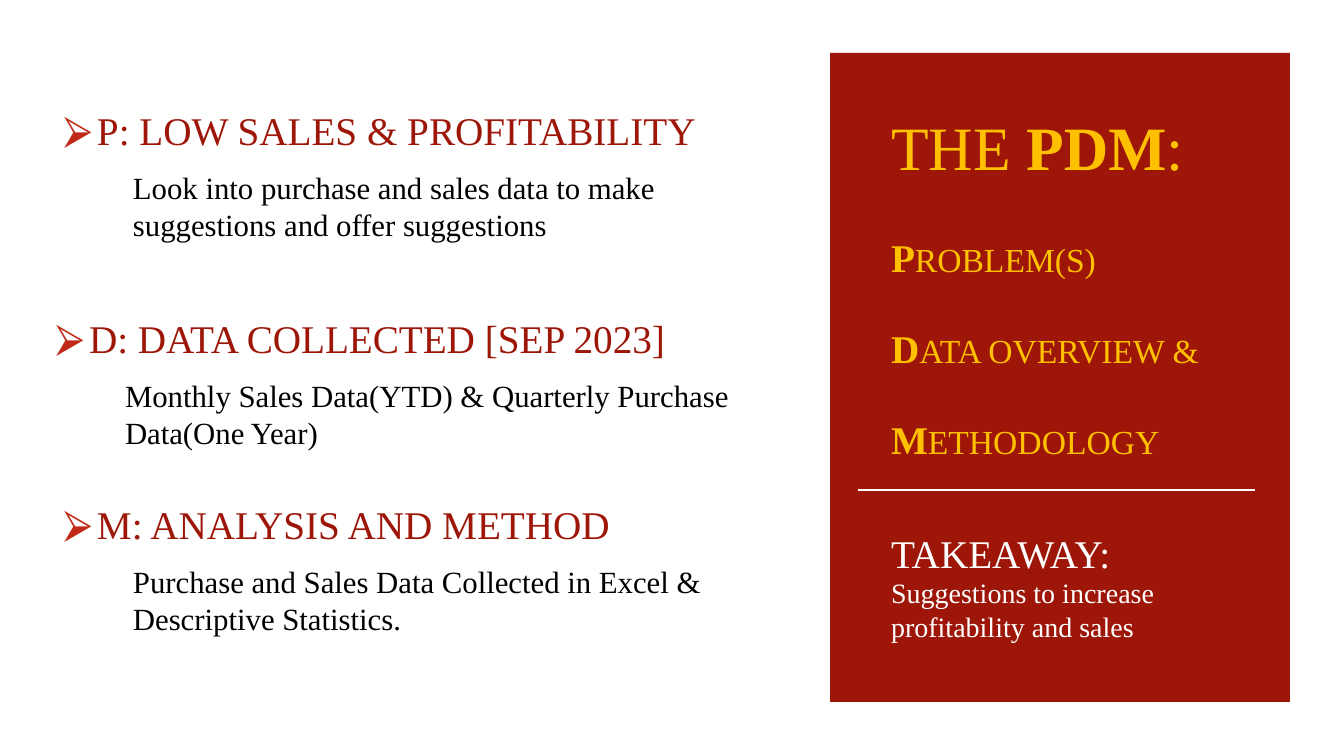
import pptx
import pptx.dml.color
import pptx.enum.shapes
import pptx.enum.text
import pptx.oxml.xmlchemy
import pptx.util

RED = pptx.dml.color.RGBColor(0x9D, 0x16, 0x08)
BULLET_RED = pptx.dml.color.RGBColor(0xC1, 0x2A, 0x17)
GOLD = pptx.dml.color.RGBColor(0xFF, 0xC0, 0x00)
WHITE = pptx.dml.color.RGBColor(0xFF, 0xFF, 0xFF)
BLACK = pptx.dml.color.RGBColor(0x00, 0x00, 0x00)
FONT = "Times New Roman"
SCALE = 9144000 / 1008


def px(n):
    return pptx.util.Emu(round(n * SCALE))


def element(tag, **attributes):
    el = pptx.oxml.xmlchemy.OxmlElement(tag)
    for name, value in attributes.items():
        el.set(name, value)
    return el


def add_run(p, text, size=22, color=BLACK, bold=False):
    r = p.add_run()
    r.text = text
    r.font.name = FONT
    r.font.size = pptx.util.Pt(size)
    r.font.color.rgb = color
    r.font.bold = bold


class Deck:
    def __init__(self, width, height):
        self.prs = pptx.Presentation()
        self.prs.slide_width = px(width)
        self.prs.slide_height = px(height)
        self.s = self.prs.slides.add_slide(self.prs.slide_layouts[4])

    def panel(self, x, y, w, h, color):
        sp = self.s.shapes.add_shape(
            pptx.enum.shapes.MSO_SHAPE.RECTANGLE, px(x), px(y), px(w), px(h))
        sp.shadow.inherit = False
        sp.fill.solid()
        sp.fill.fore_color.rgb = color
        sp.line.fill.background()
        sp.element.getparent().insert(2, sp.element)

    def rule(self, x1, x2, y, color):
        c = self.s.shapes.add_connector(
            pptx.enum.shapes.MSO_CONNECTOR.STRAIGHT, px(x1), px(y), px(x2), px(y))
        c.line.color.rgb = color
        c.line.width = pptx.util.Pt(1)
        c.element.spPr.append(element("a:effectLst"))

    def text_frame(self, idx, x, y, w, h):
        sp = self.s.placeholders[idx]
        sp.left, sp.top, sp.width, sp.height = px(x), px(y), px(w), px(h)
        tf = sp.text_frame
        tf.margin_left = tf.margin_top = tf.margin_right = tf.margin_bottom = 0
        tf.word_wrap = True
        tf.auto_size = pptx.enum.text.MSO_AUTO_SIZE.NONE
        tf.vertical_anchor = pptx.enum.text.MSO_ANCHOR.TOP
        return tf

    def paragraph(self, tf, first=False, before=0, left=0, hanging=0, bullet=None):
        p = tf.paragraphs[0] if first else tf.add_paragraph()
        p.alignment = pptx.enum.text.PP_ALIGN.LEFT
        p.space_before = pptx.util.Pt(before)
        pPr = p._p.get_or_add_pPr()
        pPr.set("marL", str(px(left)))
        pPr.set("indent", str(px(-hanging)))
        if bullet:
            clr = element("a:buClr")
            clr.append(element("a:srgbClr", val=str(BULLET_RED)))
            pPr.append(clr)
            pPr.append(element("a:buChar", char=bullet))
        else:
            pPr.append(element("a:buNone"))
        return p

    def topic(self, idx, x, y, heading, detail):
        tf = self.text_frame(idx, x, y, 717, 138)
        p = self.paragraph(tf, first=True, left=35, hanging=33, bullet="⮚")
        add_run(p, heading, size=28, color=RED)
        p = self.paragraph(tf, before=11.5, left=71)
        add_run(p, detail)


def main():
    deck = Deck(1344, 756)
    deck.panel(830, 53, 460, 649, RED)

    p = deck.paragraph(deck.text_frame(0, 891, 109, 380, 72), first=True)
    for text, bold in (("THE ", False), ("PDM", True), (":", False)):
        add_run(p, text, size=44, color=GOLD, bold=bold)

    tf = deck.text_frame(1, 891, 233, 340, 420)
    for i, word in enumerate(("PROBLEM(S)", "DATA OVERVIEW &", "METHODOLOGY")):
        p = deck.paragraph(tf, first=i == 0, before=31.5 if i else 0)
        add_run(p, word[0], size=28, color=GOLD, bold=True)
        add_run(p, word[1:], size=24, color=GOLD)
    p = deck.paragraph(tf, before=47.5)
    add_run(p, "TAKEAWAY:", size=28, color=WHITE)
    p = deck.paragraph(tf)
    add_run(p, "Suggestions to increase profitability and sales", size=20, color=WHITE)

    topics = (
        (2, 62, 106, "P: LOW SALES & PROFITABILITY",
         "Look into purchase and sales data to make suggestions and offer suggestions"),
        (3, 54, 314, "D: DATA COLLECTED [SEP 2023]",
         "Monthly Sales Data(YTD) & Quarterly Purchase Data(One Year)"),
        (4, 62, 500, "M: ANALYSIS AND METHOD",
         "Purchase and Sales Data Collected in Excel & Descriptive Statistics."),
    )
    for topic in topics:
        deck.topic(*topic)

    deck.rule(858, 1255, 490, WHITE)
    deck.prs.save("out.pptx")


if __name__ == "__main__":
    main()
